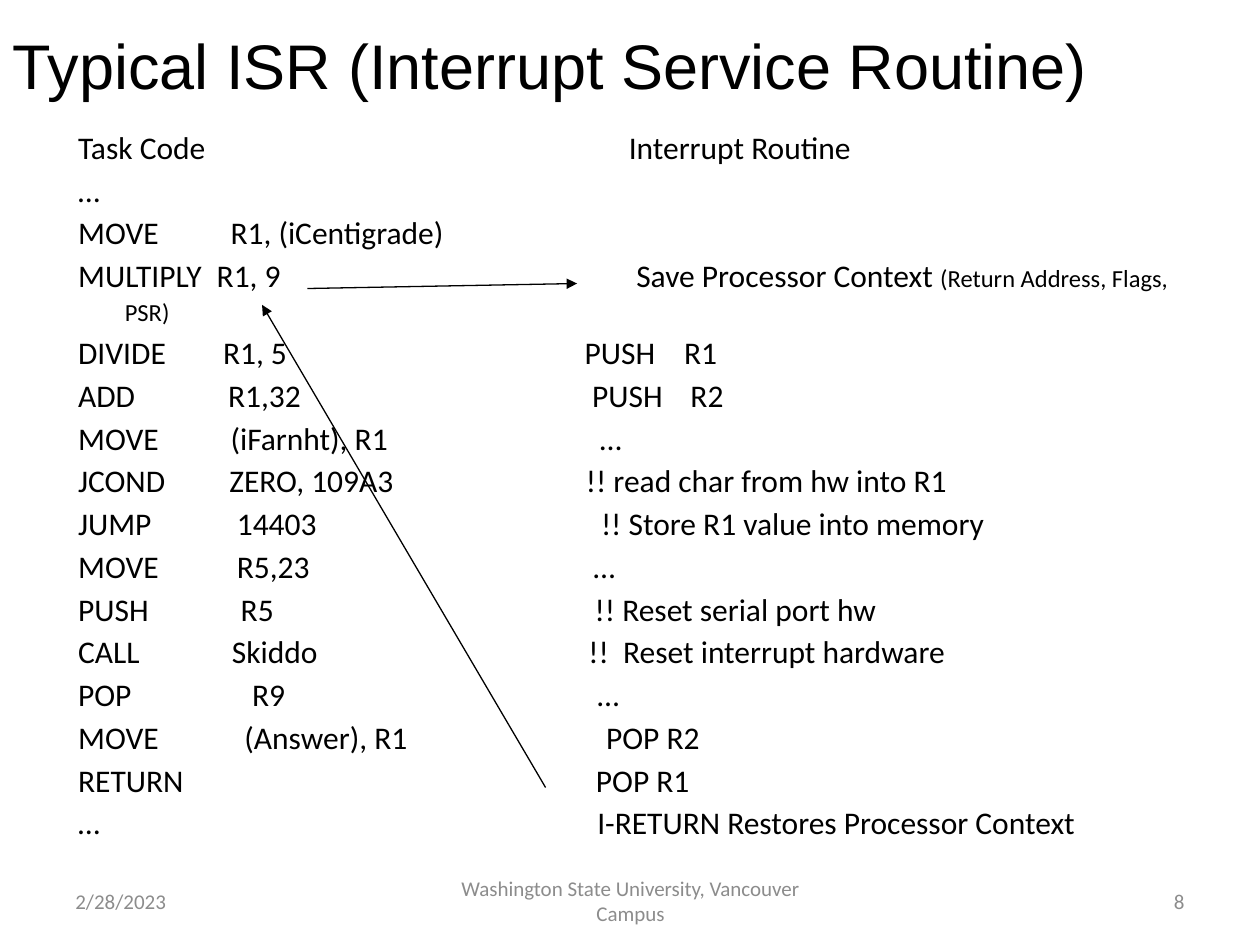
from lxml.etree import SubElement
from pptx import Presentation
from pptx.dml.color import RGBColor
from pptx.enum.shapes import MSO_CONNECTOR as Connector
from pptx.enum.text import MSO_ANCHOR as Anchor, MSO_AUTO_SIZE as AutoSize, PP_ALIGN as Align
from pptx.oxml.ns import qn
from pptx.util import Inches, Pt

WIDTH, HEIGHT = 10, 7.5
BLACK, GREY = "000000", "8C8C8C"
TITLE = "Typical ISR (Interrupt Service Routine)"

# Each line: task opcode, then (left edge on the slide in inches, text) entries
LISTING = [
    ("Task Code", [(4.99, "Interrupt Routine")]),
    ("…", []),
    ("MOVE", [(1.83, "R1, (iCentigrade)")]),
    ("MULTIPLY", [(1.72, "R1, 9"), (5.05, "Save Processor Context ")]),
    ("DIVIDE", [(1.77, "R1, 5"), (4.64, "PUSH"), (5.43, "R1")]),
    ("ADD", [(1.81, "R1,32"), (4.7, "PUSH"), (5.48, "R2")]),
    ("MOVE", [(1.83, "(iFarnht), R1"), (4.76, "…")]),
    ("JCOND", [(1.82, "ZERO, 109A3"), (4.65, "!! read char from hw into R1")]),
    ("JUMP", [(1.88, "14403"), (4.77, "!! Store R1 value into memory")]),
    ("MOVE", [(1.88, "R5,23"), (4.71, "…")]),
    ("PUSH", [(1.91, "R5"), (4.72, "!! Reset serial port hw")]),
    ("CALL", [(1.84, "Skiddo"), (4.67, "!!  Reset interrupt hardware")]),
    ("POP", [(2.0, "R9"), (4.74, "…")]),
    ("MOVE", [(1.94, "(Answer), R1"), (4.81, "POP R2")]),
    ("RETURN", [(4.73, "POP R1")]),
    ("…", [(4.74, "I-RETURN Restores Processor Context")]),
]
# Small text after a line, and its indented continuation
SMALL_NOTES = {"MULTIPLY": ("(Return Address, Flags,", "PSR)")}

ARROWS = [((2.44, 2.29), (4.58, 2.25)), ((4.33, 6.25), (2.08, 2.42))]

FOOTERS = [
    (0.5, 2.33, "2/28/2023", Align.LEFT),
    (3.42, 3.17, "Washington State University, Vancouver Campus", Align.CENTER),
    (7.17, 2.33, "8", Align.RIGHT),
]

BODY_LEFT, BODY_INSET = 0.42, 0.2
TEXT_LEFT = BODY_LEFT + BODY_INSET
CONTINUATION_LEFT = 0.99


def add_run(paragraph, text, size=18, font="Calibri", color=BLACK):
    run = paragraph.add_run()
    run.text = text
    run.font.size = Pt(size)
    run.font.name = font
    run.font.color.rgb = RGBColor.from_string(color)


def place(shape, left, top, width, height, anchor=Anchor.TOP, inset=0.1):
    """Set a text shape's box and frame, and return its text frame."""
    shape.left, shape.top = Inches(left), Inches(top)
    shape.width, shape.height = Inches(width), Inches(height)
    frame = shape.text_frame
    frame.word_wrap = True
    frame.auto_size = AutoSize.NONE
    frame.vertical_anchor = anchor
    frame.margin_left = frame.margin_right = Inches(inset)
    return frame


def format_listing_line(paragraph, stops):
    """Apply spacing and tab stops, given as positions on the slide."""
    paragraph.line_spacing = 0.9
    paragraph.space_before = Pt(5)
    if stops:
        tabs = SubElement(paragraph._p.get_or_add_pPr(), qn("a:tabLst"))
        for stop in stops:
            SubElement(tabs, qn("a:tab"), pos=str(Inches(stop - TEXT_LEFT)), algn="l")


def add_arrow(slide, start, end):
    arrow = slide.shapes.add_connector(
        Connector.STRAIGHT, *(Inches(value) for value in start + end))
    arrow.line.color.rgb = RGBColor.from_string(BLACK)
    arrow.line.width = Pt(0.75)
    SubElement(arrow.line._get_or_add_ln(), qn("a:tailEnd"), type="triangle")
    SubElement(arrow._element.spPr, qn("a:effectLst"))


def add_listing(slide):
    box = slide.shapes.add_textbox(0, 0, 0, 0)
    frame = place(box, BODY_LEFT, 1, 9.38, 5.69, inset=BODY_INSET)
    for index, (opcode, entries) in enumerate(LISTING):
        paragraph = frame.add_paragraph() if index else frame.paragraphs[0]
        stops = [left for left, _ in entries]
        if opcode in SMALL_NOTES:
            stops.insert(0, CONTINUATION_LEFT)
        format_listing_line(paragraph, stops)
        add_run(paragraph, "\t".join([opcode] + [text for _, text in entries]))
        if opcode in SMALL_NOTES:
            note, continuation = SMALL_NOTES[opcode]
            add_run(paragraph, note, size=14)
            paragraph.add_line_break()
            add_run(paragraph, "\t")
            add_run(paragraph, continuation, size=14)


def main():
    presentation = Presentation()
    presentation.slide_width, presentation.slide_height = Inches(WIDTH), Inches(HEIGHT)
    slide = presentation.slides.add_slide(presentation.slide_layouts[5])

    title = place(slide.shapes.title, 0, 0, WIDTH, 1.02, Anchor.MIDDLE).paragraphs[0]
    title.alignment = Align.LEFT
    add_run(title, TITLE, size=36, font="Arial")

    add_listing(slide)
    for start, end in ARROWS:
        add_arrow(slide, start, end)

    for left, width, text, alignment in FOOTERS:
        box = slide.shapes.add_textbox(0, 0, 0, 0)
        paragraph = place(box, left, 6.95, width, 0.4, Anchor.MIDDLE).paragraphs[0]
        paragraph.alignment = alignment
        add_run(paragraph, text, size=12, color=GREY)

    presentation.save("out.pptx")


if __name__ == "__main__":
    main()
